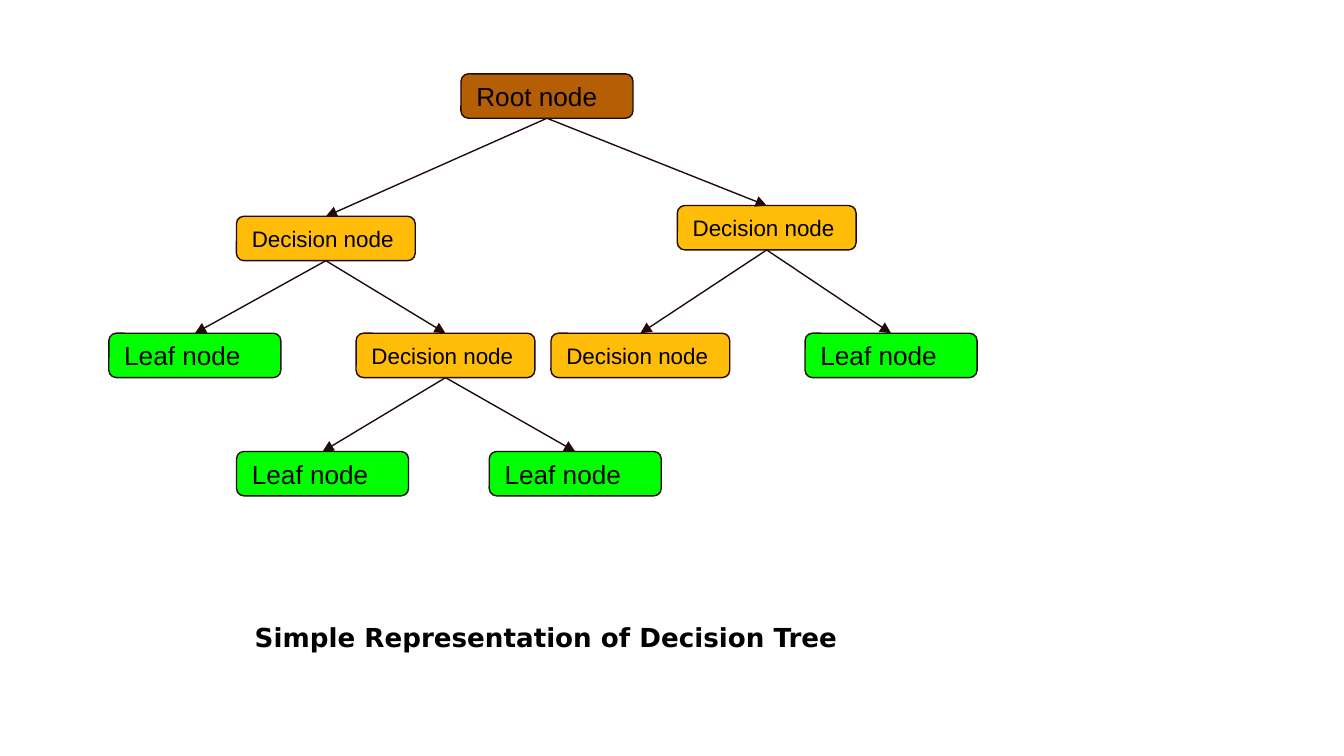
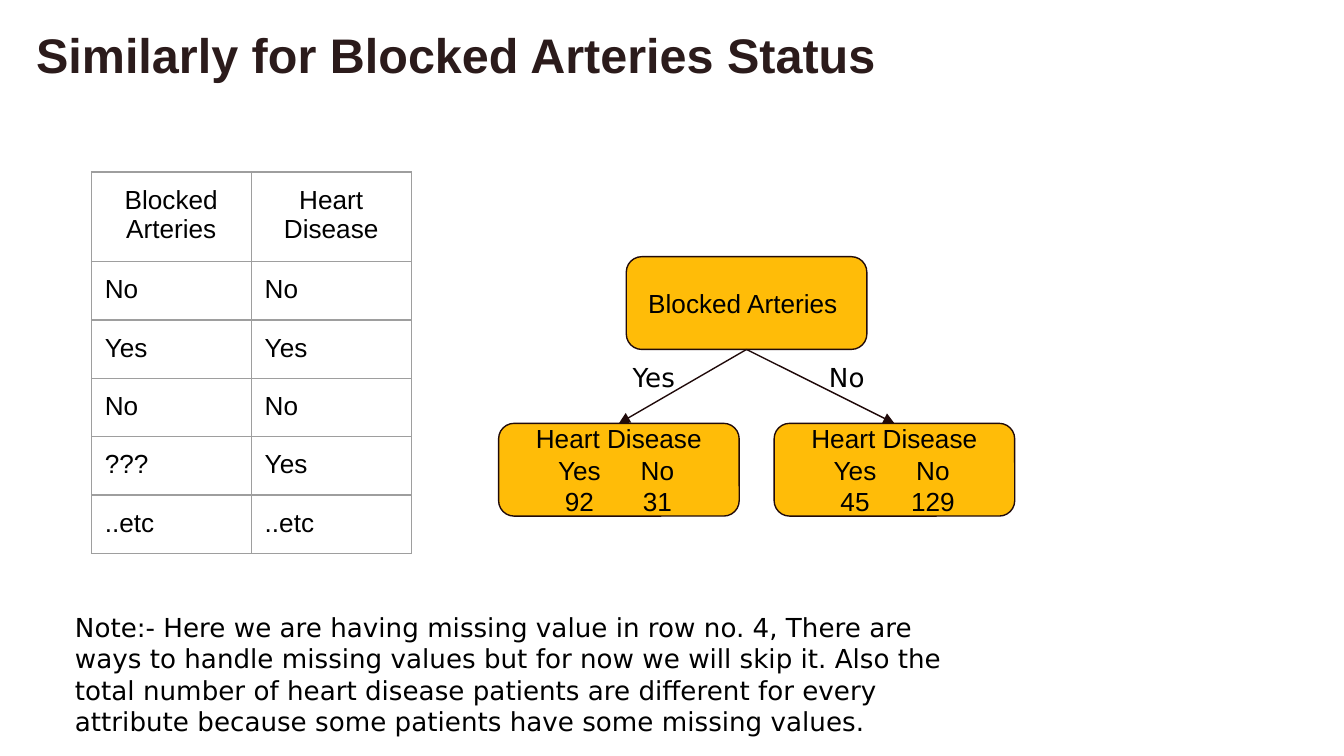
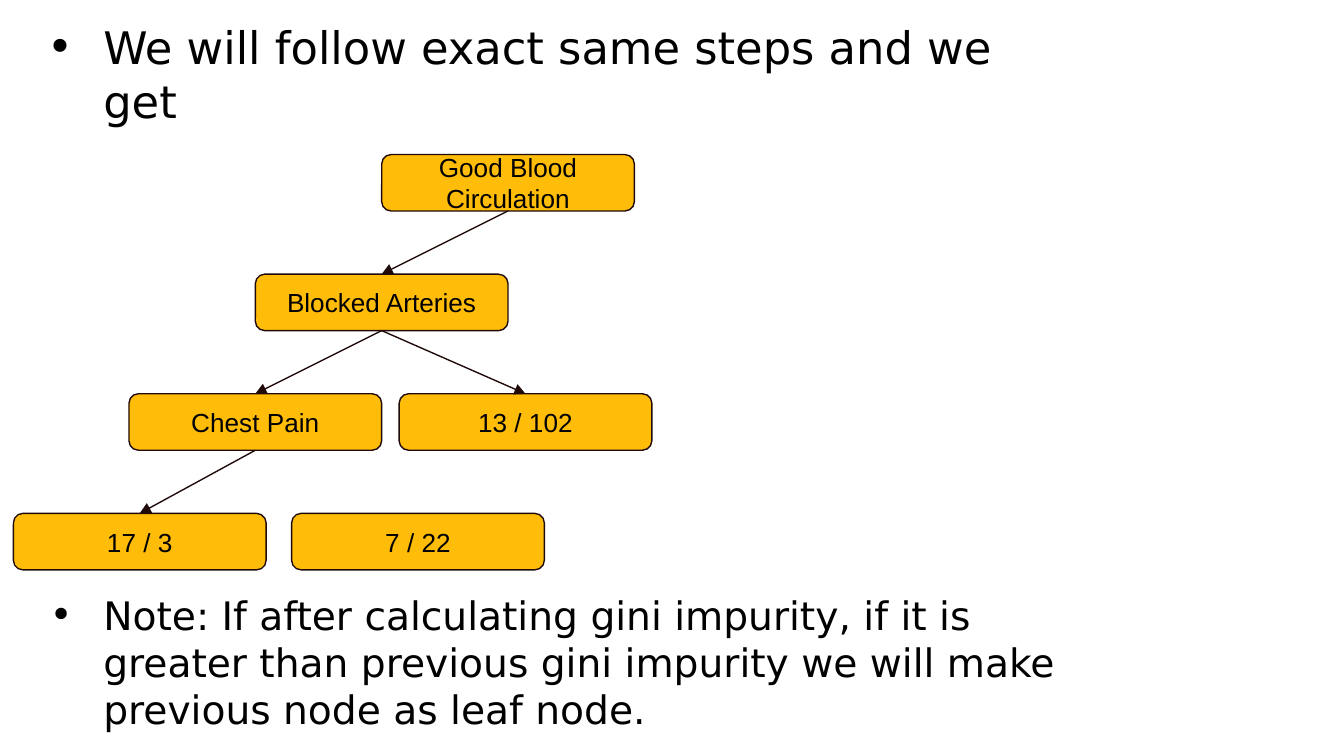
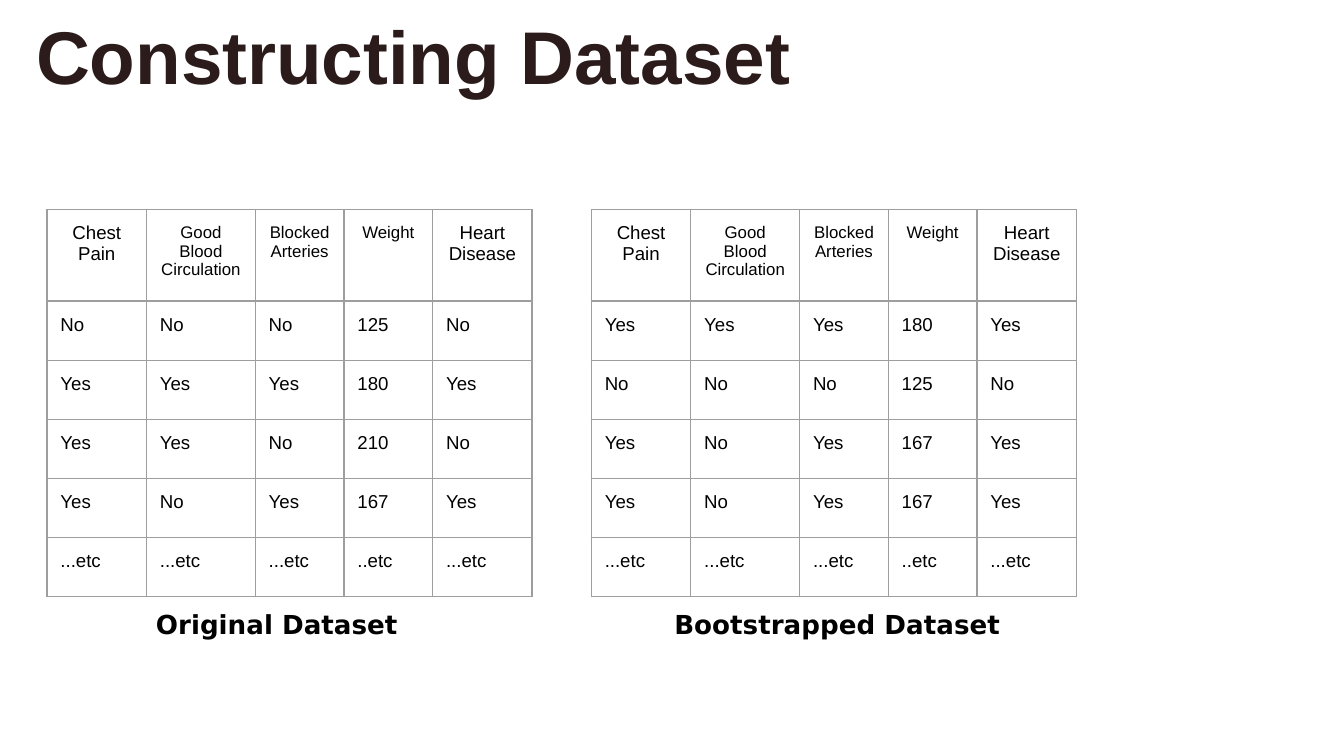
import pptx
import pptx.dml.color
import pptx.enum.shapes
import pptx.enum.text
import pptx.oxml.ns
import pptx.util
from lxml import etree

PX = 9144  # 100 px to the inch
RGB = pptx.dml.color.RGBColor
BLACK = RGB(0x00, 0x00, 0x00)
TITLE = RGB(0x2B, 0x1B, 0x1B)
EDGE = RGB(0x20, 0x0A, 0x0A)
GRID = RGB(0x9E, 0x9E, 0x9E)
BROWN = RGB(0xB4, 0x5F, 0x06)
AMBER = RGB(0xFF, 0xBC, 0x08)
GREEN = RGB(0x00, 0xFF, 0x00)
SANS, WIDE = "Arial", "DejaVu Sans"
THIN = pptx.util.Pt(0.75)
ALIGN = pptx.enum.text.PP_ALIGN
LEFT, MID = ALIGN.LEFT, ALIGN.CENTER
CENTRE = pptx.enum.text.MSO_ANCHOR.MIDDLE
SHAPE = pptx.enum.shapes.MSO_SHAPE
LINE = pptx.enum.shapes.MSO_CONNECTOR
qn = pptx.oxml.ns.qn


def scale(*sizes):
    """Turn px into EMU."""
    return [size * PX for size in sizes]


def write(frame, text, size, face=SANS, align=LEFT, bold=False, color=BLACK, pad=10):
    """Fill a text frame and format all its runs alike."""
    frame.word_wrap = True
    frame.margin_top = frame.margin_bottom = pad * PX
    frame.text = text
    for para in frame.paragraphs:
        para.alignment = align
        for run in para.runs:
            run.font.size = pptx.util.Pt(size)
            run.font.name = face
            run.font.bold = bold
            run.font.color.rgb = color


deck = pptx.Presentation()
deck.slide_width = 1000 * PX
deck.slide_height = deck.slide_width * 9 // 16
kinds, blocked, steps, data = [
    deck.slides.add_slide(deck.slide_layouts[6]) for _ in range(4)
]

# Titles
for slide, text, size in [
    (blocked, "Similarly for Blocked Arteries Status", 26),
    (data, "Constructing Dataset", 40),
]:
    box = slide.shapes.add_textbox(*scale(17, 6, 792, 69))
    write(box.text_frame, text, size, bold=True, color=TITLE, pad=5)
    box.text_frame.vertical_anchor = CENTRE

# Trees: each node is left, top, width, height, text, size, fill
root = (128, 33, "Root node", 14, BROWN)
split = (133, 33, "Decision node", 12, AMBER)
leaf = (128, 33, "Leaf node", 14, GREEN)
kind_nodes = [
    (343, 55, *root),
    (176, 161, *split), (504, 153, *split),
    (81, 248, *leaf), (265, 248, *split), (410, 248, *split), (599, 248, *leaf),
    (176, 336, *leaf), (364, 336, *leaf),
]
count_nodes = [
    (left, top, 179, 69, text, 14, AMBER)
    for left, top, text in [
        (466, 191, "Blocked Arteries "),
        (371, 315, "Heart Disease\n\tYes\tNo\n\t92\t31"),
        (576, 315, "Heart Disease\n\tYes\tNo\n\t45\t129"),
    ]
]
step_nodes = [
    (left, 115 + 89 * level, 188, 42, text, 14, AMBER)
    for left, level, text in [
        (284, 0, "Good Blood Circulation"),
        (190, 1, "Blocked Arteries"),
        (96, 2, "Chest Pain"), (297, 2, "13 / 102"),
        (10, 3, "17 / 3"), (217, 3, "7 / 22"),
    ]
]
kind_links = [(0, 1), (0, 2), (1, 3), (1, 4), (2, 5), (2, 6), (4, 7), (4, 8)]
for slide, align, nodes, links in [
    (kinds, LEFT, kind_nodes, kind_links),
    (blocked, MID, count_nodes, [(0, 1), (0, 2)]),
    (steps, MID, step_nodes, [(0, 1), (1, 2), (1, 3), (2, 4)]),
]:
    made = []
    for *place, text, size, fill in nodes:
        node = slide.shapes.add_shape(SHAPE.ROUNDED_RECTANGLE, *scale(*place))
        node.shadow.inherit = False
        node.fill.solid()
        node.fill.fore_color.rgb = fill
        node.line.color.rgb = EDGE
        node.line.width = THIN
        write(node.text_frame, text, size, align=align)
        node.text_frame.vertical_anchor = CENTRE
        for para in node.text_frame.paragraphs:
            if "\t" in para.text:
                para.alignment = LEFT
                tabs = etree.SubElement(para._p.get_or_add_pPr(), qn("a:tabLst"))
                for stop in scale(47, 105):
                    etree.SubElement(tabs, qn("a:tab"), pos=str(stop), algn="ctr")
        made.append(node)
    for start, end in links:
        link = slide.shapes.add_connector(LINE.STRAIGHT, 0, 0, 0, 0)
        link.begin_connect(made[start], 2)
        link.end_connect(made[end], 0)
        link.line.color.rgb = EDGE
        link.line.width = THIN
        props = link._element.spPr
        etree.SubElement(props.find(qn("a:ln")), qn("a:tailEnd"), type="triangle")
        etree.SubElement(props, qn("a:effectLst"))

# Tables
heads = ["Chest Pain", "Good Blood Circulation", "Blocked Arteries", "Weight",
         "Heart Disease"]
widths = [74, 81, 66, 66, 74]
heights = [68] + [44] * 5
sizes = [10, 9, 9, 9, 10]
no, yes = "No No No 125 No", "Yes Yes Yes 180 Yes"
mixed, last = "Yes No Yes 167 Yes", "...etc ...etc ...etc ..etc ...etc"
for slide, left, top, cols, rows, head, points, body, lines in [
    (blocked, 68, 128, [119] * 2, [63] + [42] * 5,
     ["Blocked\nArteries", "Heart Disease"], [14, 14], 14,
     ["No No", "Yes Yes", "No No", "??? Yes", "..etc ..etc"]),
    (data, 35, 156, widths, heights, heads, sizes, 10,
     [no, yes, "Yes Yes No 210 No", mixed, last]),
    (data, 440, 156, widths, heights, heads, sizes, 10,
     [yes, no, mixed, mixed, last]),
]:
    table = slide.shapes.add_table(
        len(rows), len(cols), *scale(left, top, sum(cols), sum(rows))
    ).table
    table.first_row = table.horz_banding = False
    for col, width in zip(table.columns, cols):
        col.width = width * PX
    for row, height in zip(table.rows, rows):
        row.height = height * PX
    for r, words in enumerate([head] + [line.split() for line in lines]):
        for c, word in enumerate(words):
            cell = table.cell(r, c)
            write(cell.text_frame, word, body if r else points[c],
                  align=LEFT if r else MID)
            cell.margin_top = cell.margin_bottom = 10 * PX
            for side in ("lnL", "lnR", "lnT", "lnB"):
                rim = etree.SubElement(cell._tc.get_or_add_tcPr(), qn("a:" + side),
                                       w=str(int(THIN)))
                paint = etree.SubElement(rim, qn("a:solidFill"))
                etree.SubElement(paint, qn("a:srgbClr"), val=str(GRID))
            cell.fill.background()

# Captions, branch labels and the note
note = (
    "Note:- Here we are having missing value in row no. 4, There are ways to handle "
    "missing values but for now we will skip it. Also the total number of heart "
    "disease patients are different for every attribute because some patients have "
    "some missing values."
)
for slide, place, text, bold in [
    (kinds, (151, 452, 511, 54), "Simple Representation of Decision Tree", True),
    (blocked, (461, 263, 56, 16), "Yes", False),
    (blocked, (607, 263, 56, 16), "No", False),
    (blocked, (46, 445, 696, 110), note, False),
    (data, (70, 443, 272, 60), "Original Dataset", True),
    (data, (487, 443, 272, 60), "Bootstrapped Dataset", True),
]:
    box = slide.shapes.add_textbox(*scale(*place))
    write(box.text_frame, text, 14, WIDE, MID if bold else LEFT, bold)

# Bullets
rule = (
    "Note: If after calculating gini impurity, if it is greater than previous gini "
    "impurity we will make previous node as leaf node."
)
for top, height, hang, size, text in [
    (10, 57, 42, 24, "We will follow exact same steps and we get"),
    (435, 127, 40, 21, rule),
]:
    box = steps.shapes.add_textbox(*scale(17, top, 792, height))
    write(box.text_frame, text, size, WIDE, pad=5)
    props = box.text_frame.paragraphs[0]._p.get_or_add_pPr()
    props.set("marL", str(50 * PX))
    props.set("indent", str(-hang * PX))
    paint = etree.SubElement(props, qn("a:buClr"))
    etree.SubElement(paint, qn("a:srgbClr"), val=str(BLACK))
    etree.SubElement(props, qn("a:buFont"), typeface=WIDE)
    etree.SubElement(props, qn("a:buChar"), char="•")

deck.save("out.pptx")
